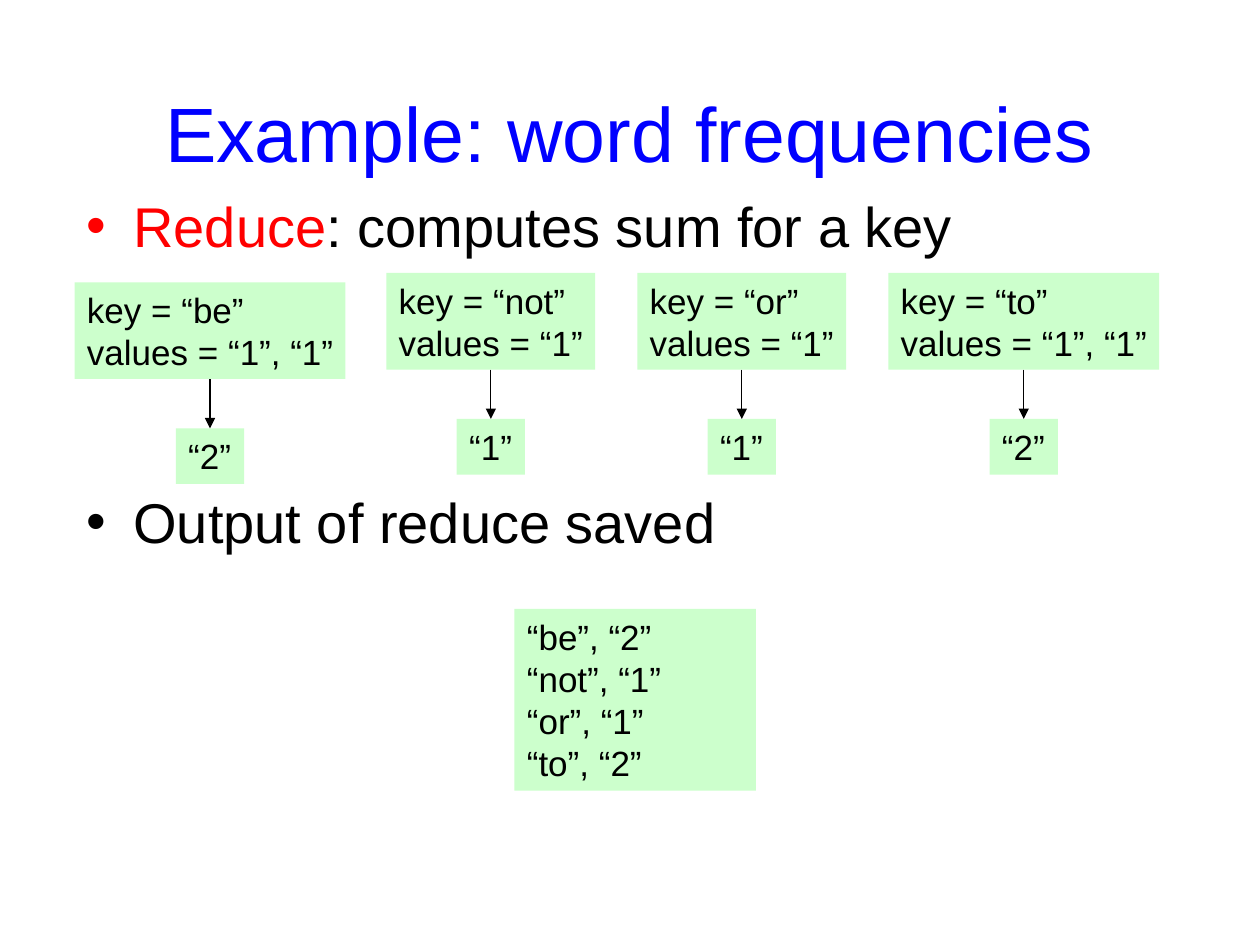
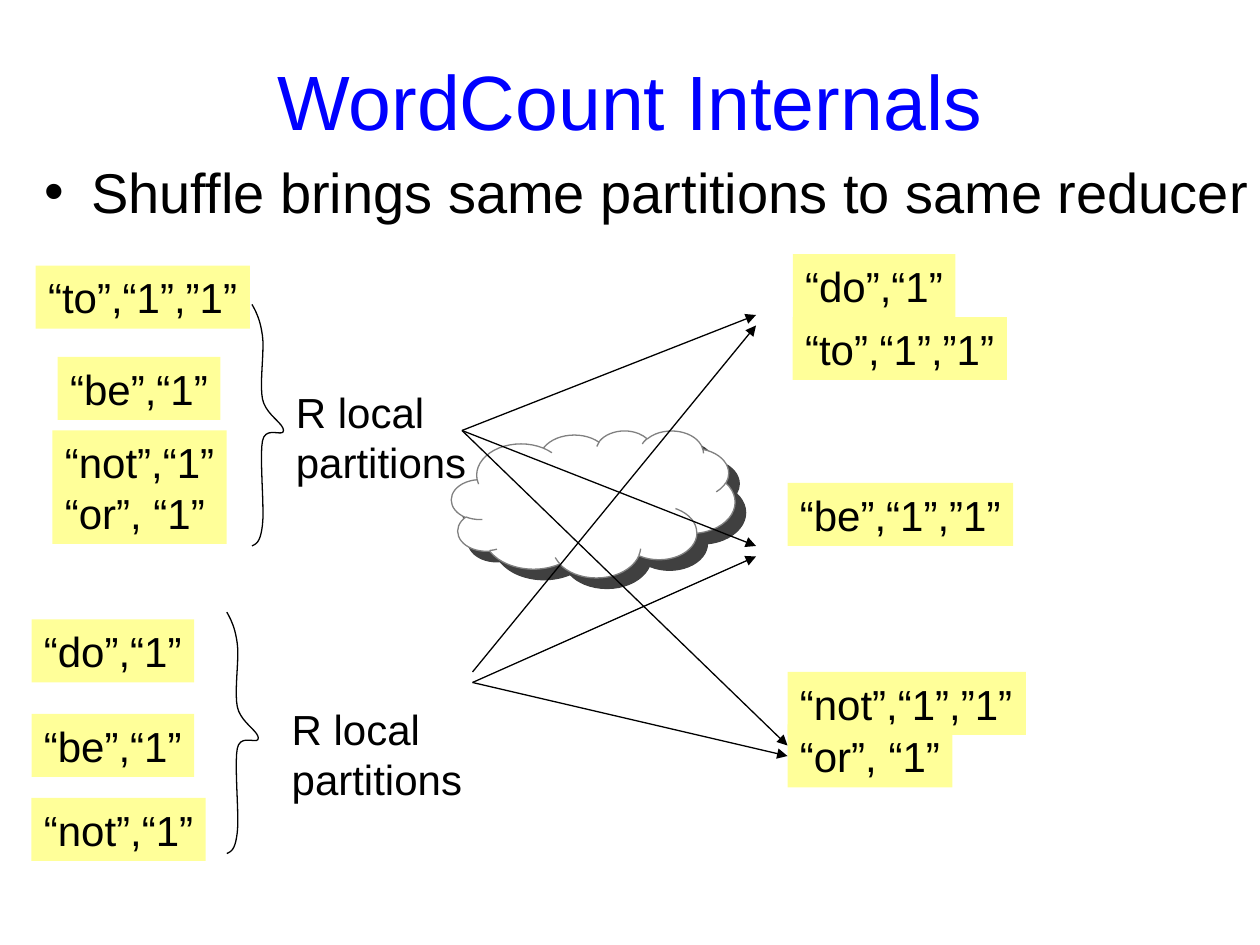
from lxml import etree
from pptx import Presentation
from pptx import util as u
from pptx.dml.color import RGBColor
from pptx.enum import shapes, text
from pptx.oxml import ns

BLUE = RGBColor(0x00, 0x00, 0xFF)
RED = RGBColor(0xFF, 0x00, 0x00)
BLACK = RGBColor(0x00, 0x00, 0x00)
WHITE = RGBColor(0xFF, 0xFF, 0xFF)
GRAY = RGBColor(0x80, 0x80, 0x80)
GREEN = RGBColor(0xCC, 0xFF, 0xCC)
YELLOW = RGBColor(0xFF, 0xFF, 0x99)

COLUMNS, ROWS = 120, 90
TOP, LEFT, BOTTOM = 0, 1, 2
BRACE_CURVES = [
    ((0, 0), (0.4, 0.7), (0.8, 1.5), (1, 3)),
    ((1, 3), (1.2, 4.5), (0.7, 7.5), (1, 9)),
    ((1, 9), (1.3, 10.5), (3, 11.3), (3, 12)),
    ((3, 12), (3, 12.7), (1.3, 11.5), (1, 13)),
    ((1, 13), (0.7, 14.5), (1.2, 19.3), (1, 21)),
    ((1, 21), (0.8, 22.7), (0.4, 22.8), (0, 23)),
]


def apply(target, values):
    """Set each attribute of the target from a dict."""
    for name, value in values.items():
        setattr(target, name, value)


def curve_point(curve, share):
    """Return the point at a share of a cubic curve."""
    rest = 1 - share
    weights = (rest**3, 3 * rest**2 * share, 3 * rest * share**2, share**3)
    return tuple(sum(weight * point[axis] for weight, point in zip(weights, curve))
                 for axis in (0, 1))


class Deck:
    """Hold the shared style and the current slide."""

    title_format = {"name": "Arial", "size": u.Pt(44)}
    body_format = {"name": "Arial", "size": u.Pt(32)}
    title_frame = {"vertical_anchor": text.MSO_ANCHOR.MIDDLE, "word_wrap": True,
                   "auto_size": text.MSO_AUTO_SIZE.NONE}
    body_frame = {"vertical_anchor": text.MSO_ANCHOR.TOP, "word_wrap": True,
                  "auto_size": text.MSO_AUTO_SIZE.NONE, "margin_top": 0}
    box_frame = {"vertical_anchor": text.MSO_ANCHOR.TOP, "word_wrap": False,
                 "auto_size": text.MSO_AUTO_SIZE.NONE,
                 "margin_left": u.Inches(0.1), "margin_right": u.Inches(0.1),
                 "margin_top": u.Inches(0.05), "margin_bottom": u.Inches(0.05)}

    def __init__(self):
        """Open a blank presentation."""
        self.presentation = Presentation()
        apply(self.presentation, {"slide_width": u.Inches(10), "slide_height": u.Inches(7.5)})
        self.slide = None

    def across(self, columns):
        """Convert grid columns to a length."""
        return round(self.presentation.slide_width * columns / COLUMNS)

    def down(self, rows):
        """Convert grid rows to a length."""
        return round(self.presentation.slide_height * rows / ROWS)

    def place(self, left, top, width, height):
        """Convert a grid rectangle to lengths."""
        return self.across(left), self.down(top), self.across(width), self.down(height)

    def add_runs(self, paragraph, runs, font_format):
        """Add coloured runs to a paragraph."""
        for words, color in runs:
            run = paragraph.add_run()
            run.text = words
            apply(run.font, font_format)
            run.font.color.rgb = color

    def move(self, shape, area):
        """Put a shape on a grid rectangle."""
        apply(shape, dict(zip(("left", "top", "width", "height"), self.place(*area))))

    def add_slide(self, title, top):
        """Start a slide with a title."""
        self.slide = self.presentation.slides.add_slide(self.presentation.slide_layouts[1])
        shape = self.slide.shapes.title
        self.move(shape, (9, top, 102, 15))
        apply(shape.text_frame, self.title_frame)
        paragraph = shape.text_frame.paragraphs[0]
        paragraph.alignment = text.PP_ALIGN.CENTER
        self.add_runs(paragraph, [(title, BLUE)], self.title_format)

    def bullets(self, area, items):
        """Fill the body with pairs of space before and runs."""
        shape = self.slide.placeholders[1]
        self.move(shape, area)
        frame = shape.text_frame
        apply(frame, self.body_frame)
        for index, (space, runs) in enumerate(items):
            paragraph = frame.add_paragraph() if index else frame.paragraphs[0]
            paragraph.space_before = u.Pt(space)
            self.add_runs(paragraph, runs, self.body_format)

    def box(self, area, lines, size, fill=None):
        """Add a text box, or a filled rectangle with text."""
        if fill is None:
            shape = self.slide.shapes.add_textbox(*self.place(*area))
        else:
            shape = self.slide.shapes.add_shape(shapes.MSO_SHAPE.RECTANGLE, *self.place(*area))
            shape.shadow.inherit = False
            shape.fill.solid()
            shape.fill.fore_color.rgb = fill
            shape.line.fill.background()
        frame = shape.text_frame
        apply(frame, self.box_frame)
        for index, line in enumerate(lines):
            paragraph = frame.add_paragraph() if index else frame.paragraphs[0]
            paragraph.alignment = text.PP_ALIGN.LEFT
            self.add_runs(paragraph, [(line, BLACK)], {"name": "Arial", "size": u.Pt(size)})
        return shape

    def outline(self, shape, color=BLACK):
        """Give a shape the thin line of the deck."""
        shape.line.color.rgb = color
        shape.line.width = u.Pt(0.75)

    def arrow(self, start, end):
        """Add an arrow between grid points."""
        connector = self.slide.shapes.add_connector(
            shapes.MSO_CONNECTOR.STRAIGHT,
            self.across(start[0]), self.down(start[1]),
            self.across(end[0]), self.down(end[1]))
        self.outline(connector)
        properties = connector._element.spPr
        line = properties.find(ns.qn("a:ln"))
        etree.SubElement(line, ns.qn("a:tailEnd"), type="triangle")
        etree.SubElement(properties, ns.qn("a:effectLst"))
        return connector

    def brace(self, left, top):
        """Add a curved closing brace."""
        points = [curve_point(curve, step / 10) for curve in BRACE_CURVES for step in range(1, 11)]
        builder = self.slide.shapes.build_freeform(self.across(left), self.down(top))
        builder.add_line_segments([(self.across(left + x), self.down(top + y))
                                   for x, y in points], close=False)
        shape = builder.convert_to_shape()
        shape.shadow.inherit = False
        shape.fill.background()
        self.outline(shape)

    def cloud(self, area):
        """Add a white cloud with a hard shadow."""
        shape = self.slide.shapes.add_shape(shapes.MSO_SHAPE.CLOUD, *self.place(*area))
        shape.fill.solid()
        shape.fill.fore_color.rgb = WHITE
        self.outline(shape, GRAY)
        effects = etree.SubElement(shape._element.spPr, ns.qn("a:effectLst"))
        shadow = etree.SubElement(effects, ns.qn("a:outerShdw"), blurRad="0",
                                  dist=str(u.Pt(8.5)), dir="2700000", algn="ctr", rotWithShape="0")
        color = etree.SubElement(shadow, ns.qn("a:srgbClr"), val=str(BLACK))
        etree.SubElement(color, ns.qn("a:alpha"), val="75000")


def build_reduce(deck):
    """Build the slide on the reduce step."""
    deck.add_slide("Example: word frequencies", 5)
    deck.bullets((7, 18.2, 109, 61), [
        (8, [("Reduce", RED), (": computes sum for a key", BLACK)]),
        (131, [("Output of reduce saved", BLACK)]),
    ])
    counts = {"be": 2, "not": 1, "or": 1, "to": 2}
    for index, (word, count) in enumerate(counts.items()):
        left = 36.8 + 23.9 * (index - 1) if index else 7.1
        top = 26 if index else 26.9
        width = 25.8 if count == 2 else 19.9
        values = ", ".join(["“1”"] * count)
        key_box = deck.box((left, top, width, 9.2),
                           [f"key = “{word}”", f"values = {values}"], 20, GREEN)
        center = left + width / 2
        sum_box = deck.box((center - 3.25, top + 13.9, 6.5, 5.3), [f"“{count}”"], 20, GREEN)
        arrow = deck.arrow((center, top + 9.2), (center, top + 13.9))
        arrow.begin_connect(key_box, BOTTOM)
        arrow.end_connect(sum_box, TOP)
    deck.box((49, 58, 23, 17.3),
             [f"“{word}”, “{count}”" for word, count in counts.items()], 20, GREEN)


def build_shuffle(deck):
    """Build the slide on the shuffle step."""
    deck.add_slide("WordCount Internals", 2)
    deck.bullets((3, 15, 121, 16),
                 [(8, [("Shuffle brings same partitions to same reducer", BLACK)])])
    deck.cloud((43, 41, 27, 14))
    pairs = [
        (3.4, 25.3, 20.4, ["“to”,“1”,”1”"]),
        (5.5, 34, 15.5, ["“be”,“1”"]),
        (5, 41, 16.6, ["“not”,“1”", "“or”, “1”"]),
        (3, 59, 15.5, ["“do”,“1”"]),
        (3, 68, 15.5, ["“be”,“1”"]),
        (3, 76, 16.6, ["“not”,“1”"]),
        (75.5, 30.2, 20.4, ["“to”,“1”,”1”"]),
        (75.5, 24.2, 15.5, ["“do”,“1”"]),
        (75, 46, 21.5, ["“be”,“1”,”1”"]),
        (75, 64, 22.7, ["“not”,“1”,”1”"]),
        (75, 69, 15.7, ["“or”, “1”"]),
    ]
    for left, top, width, lines in pairs:
        last_box = deck.box((left, top, width, 1.2 + 4.8 * len(lines)), lines, 24, YELLOW)
    for left, top in [(24, 29), (21.6, 58.3)]:
        deck.brace(left, top)
    for left, top in [(27, 36.2), (26.6, 66.4)]:
        deck.box((left, top, 18.6, 10.8), ["R local", "partitions"], 24)
    routes = [
        ((44, 41), (72, 30)), ((44, 41), (72, 52)), ((44, 41), (75, 71)),
        ((45, 64), (72, 31)), ((45, 65), (72, 53)), ((45, 65), (75, 72)),
    ]
    for start, end in routes:
        last_arrow = deck.arrow(start, end)
    last_arrow.end_connect(last_box, LEFT)


def main():
    """Build and save the presentation."""
    deck = Deck()
    build_reduce(deck)
    build_shuffle(deck)
    deck.presentation.save("out.pptx")


if __name__ == "__main__":
    main()
